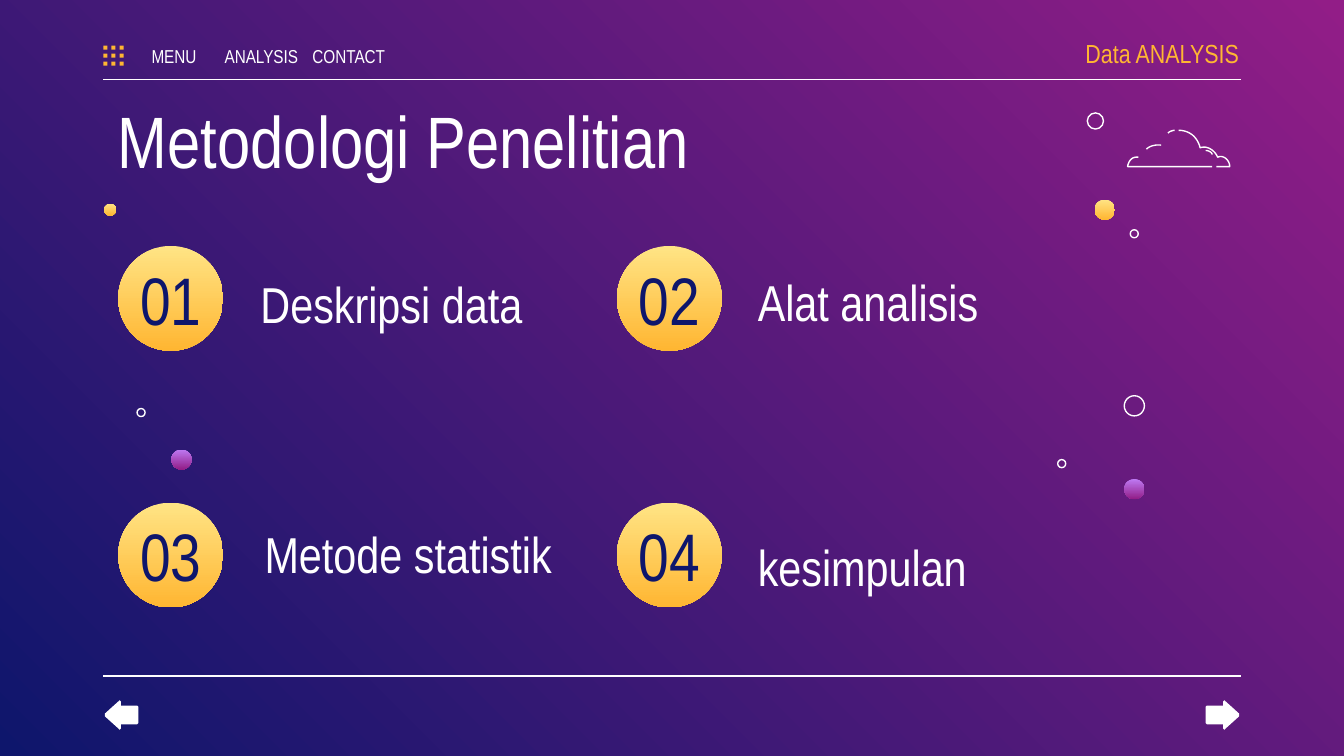
from lxml import etree
from pptx import Presentation
from pptx.dml.color import RGBColor
from pptx.enum.shapes import MSO_CONNECTOR, MSO_SHAPE
from pptx.enum.text import MSO_ANCHOR, PP_ALIGN
from pptx.oxml.ns import qn
from pptx.util import Inches, Pt

FONT = "Arial Narrow"
COLORS = {"white": "FFFFFF", "navy": "0E166C", "magenta": "921D87",
          "cream": "FFE485", "amber": "FFB632", "lilac": "BE7AF3"}
GOLD = ("cream", "amber")
PURPLE = ("lilac", "magenta")


def color(name):
    return RGBColor.from_string(COLORS[name])


def fill_gradient(fill, names, angle):
    fill.gradient()
    fill.gradient_angle = angle
    for stop, name in zip(fill.gradient_stops, names):
        stop.color.rgb = color(name)


def style(shape, fill=None, line=None):
    """Fill is a colour name, a pair for a vertical gradient, or None."""
    shape.shadow.inherit = False
    if fill is None:
        shape.fill.background()
    elif isinstance(fill, tuple):
        fill_gradient(shape.fill, fill, 270)
    else:
        shape.fill.solid()
        shape.fill.fore_color.rgb = color(fill)
    if line:
        shape.line.color.rgb = color(line)
        shape.line.width = Pt(0.75)
    else:
        shape.line.fill.background()


def add_text(page, box, text, size, name="white", align=PP_ALIGN.LEFT,
             anchor=MSO_ANCHOR.TOP, sides=(0.1, 0.1)):
    frame = page.shapes.add_textbox(*map(Inches, box)).text_frame
    frame.word_wrap = True
    frame.vertical_anchor = anchor
    frame.margin_left, frame.margin_right = map(Inches, sides)
    frame.margin_top = frame.margin_bottom = Inches(0.1)
    frame.text = text
    para = frame.paragraphs[0]
    para.alignment = align
    font = para.runs[0].font
    font.name, font.size = FONT, Pt(size)
    font.color.rgb = color(name)


def add_preset(page, kind, box, fill=None, line=None):
    style(page.shapes.add_shape(kind, *map(Inches, box)), fill, line)


def add_outline(page, points, close, fill=None, line=None):
    points = [(Inches(x), Inches(y)) for x, y in points]
    builder = page.shapes.build_freeform(*points[0], scale=1.0)
    builder.add_line_segments(points[1:], close=close)
    style(builder.convert_to_shape(), fill, line)


def curve(start, *controls, steps=12):
    """Points along a chain of cubic curves, three controls to each."""
    points = [start]
    for i in range(0, len(controls), 3):
        knots = (points[-1], *controls[i:i + 3])
        for step in range(1, steps + 1):
            t = step / steps
            weights = ((1 - t) ** 3, 3 * t * (1 - t) ** 2,
                       3 * t ** 2 * (1 - t), t ** 3)
            points.append(tuple(sum(w * knot[axis] for w, knot in zip(weights, knots))
                                for axis in (0, 1)))
    return points


def add_rule(page, left, top, width):
    rule = page.shapes.add_connector(MSO_CONNECTOR.STRAIGHT, Inches(left), Inches(top),
                                     Inches(left + width), Inches(top))
    rule.line.color.rgb = color("white")
    rule.line.width = Pt(0.75)
    etree.SubElement(rule._element.spPr, qn("a:effectLst"))


def add_header(page, left, top, width):
    # Menu icon: three by three squares
    for column in range(3):
        for row in range(3):
            add_preset(page, MSO_SHAPE.RECTANGLE,
                       (left + 0.06 * column, top + 0.11 + 0.06 * row, 0.03, 0.03), "amber")
    for i, label in enumerate(("MENU", "ANALYSIS", "CONTACT")):
        add_text(page, (left + 0.24 + 0.65 * i, top + 0.07, 0.57, 0.23), label, 10,
                 align=PP_ALIGN.CENTER, anchor=MSO_ANCHOR.MIDDLE, sides=(0, 0))
    add_text(page, (left + width - 1.51, top, 1.5, 0.33), "Data ANALYSIS", 14, "amber",
             PP_ALIGN.RIGHT, MSO_ANCHOR.MIDDLE, (0.1, 0))
    add_rule(page, left, top + 0.36, width)


def add_arrow(page, left, top, flip=False):
    width, height = 0.25, 0.22
    upper = [(0, 0.1), (0.1, 0.01), (0.11, 0), (0.12, 0.01), (0.12, 0.04),
             (0.24, 0.04), (0.25, 0.05)]
    points = upper + [(x, height - y) for x, y in reversed(upper)]
    add_outline(page, [(left + (width - x if flip else x), top + y) for x, y in points],
                True, "white")


def add_footer(page, left, top, width):
    add_rule(page, left, top, width)
    add_arrow(page, left + 0.01, top + 0.18)
    add_arrow(page, left + width - 0.26, top + 0.18, flip=True)


def add_step(page, left, top, number, label, shift_x, shift_y):
    """Numbered disc; the label is shifted from the disc's corner."""
    size = 0.78
    add_preset(page, MSO_SHAPE.OVAL, (left, top, size, size), GOLD)
    add_text(page, (left, top + 0.2, size, 0.38), number, 36, "navy",
             PP_ALIGN.CENTER, MSO_ANCHOR.MIDDLE)
    add_text(page, (left + shift_x, top + shift_y, 3.1, 0.48), label, 27)


def add_cloud(page, left, top):
    strokes = [
        # Right-hand puffs
        curve((0.38, 0), (0.46, 0), (0.52, 0.05), (0.54, 0.13),
              (0.59, 0.11), (0.65, 0.15), (0.67, 0.2),
              (0.71, 0.18), (0.76, 0.22), (0.76, 0.27)) + [(0.66, 0.27)],
        # Base and left puff
        [(0.63, 0.27)] + curve((0, 0.27), (0, 0.27), (0.01, 0.19), (0.08, 0.2)),
        # Loose strokes
        curve((0.35, 0), (0.35, 0), (0.32, 0), (0.3, 0.02)),
        curve((0.58, 0.15), (0.58, 0.15), (0.62, 0.15), (0.63, 0.18)),
        curve((0.25, 0.11), (0.25, 0.11), (0.18, 0.1), (0.14, 0.14)),
    ]
    for stroke in strokes:
        add_outline(page, [(left + x, top + y) for x, y in stroke], False, line="white")


def add_bubbles(page):
    # Centre x, centre y, diameter, fill; unfilled ones are rings
    bubbles = [(8.22, 1.56, 0.15, GOLD), (0.82, 1.56, 0.09, GOLD),
               (8.44, 3.64, 0.15, PURPLE), (1.35, 3.42, 0.15, PURPLE),
               (8.15, 0.9, 0.12, None), (8.44, 3.02, 0.15, None),
               (8.44, 1.74, 0.06, None), (7.9, 3.45, 0.06, None),
               (1.05, 3.07, 0.06, None)]
    for x, y, size, fill in bubbles:
        add_preset(page, MSO_SHAPE.OVAL, (x - size / 2, y - size / 2, size, size),
                   fill, None if fill else "white")


def build_slide(page):
    fill_gradient(page.background.fill, ("magenta", "navy"), 225)
    add_header(page, 0.77, 0.23, 8.46)
    add_footer(page, 0.77, 5.03, 8.46)
    add_text(page, (0.78, 0.61, 8.44, 0.66), "Metodologi Penelitian", 39)
    steps = [("Deskripsi data", 0.96, 0.1), ("Alat analisis", 0.95, 0.09),
             ("Metode statistik", 0.99, 0.05), ("kesimpulan", 0.95, 0.15)]
    for i, (label, shift_x, shift_y) in enumerate(steps):
        row, column = divmod(i, 2)
        add_step(page, 0.88 + 3.71 * column, 1.83 + 1.91 * row,
                 f"{i + 1:02d}", label, shift_x, shift_y)
    add_cloud(page, 8.39, 0.97)
    add_bubbles(page)


def main():
    deck = Presentation()
    # Widescreen, 16 to 9
    deck.slide_width = Inches(10)
    deck.slide_height = Inches(10 * 9 / 16)
    build_slide(deck.slides.add_slide(deck.slide_layouts[6]))
    deck.save("out.pptx")


if __name__ == "__main__":
    main()
